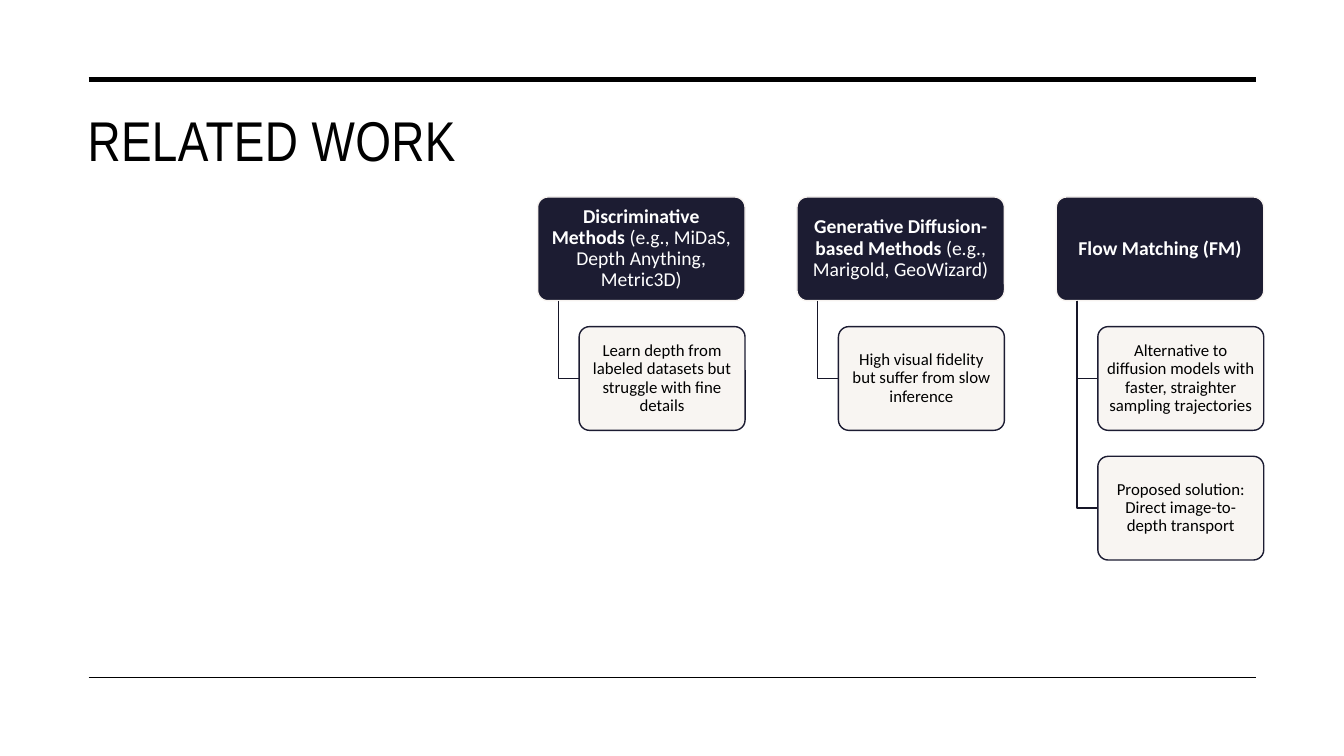
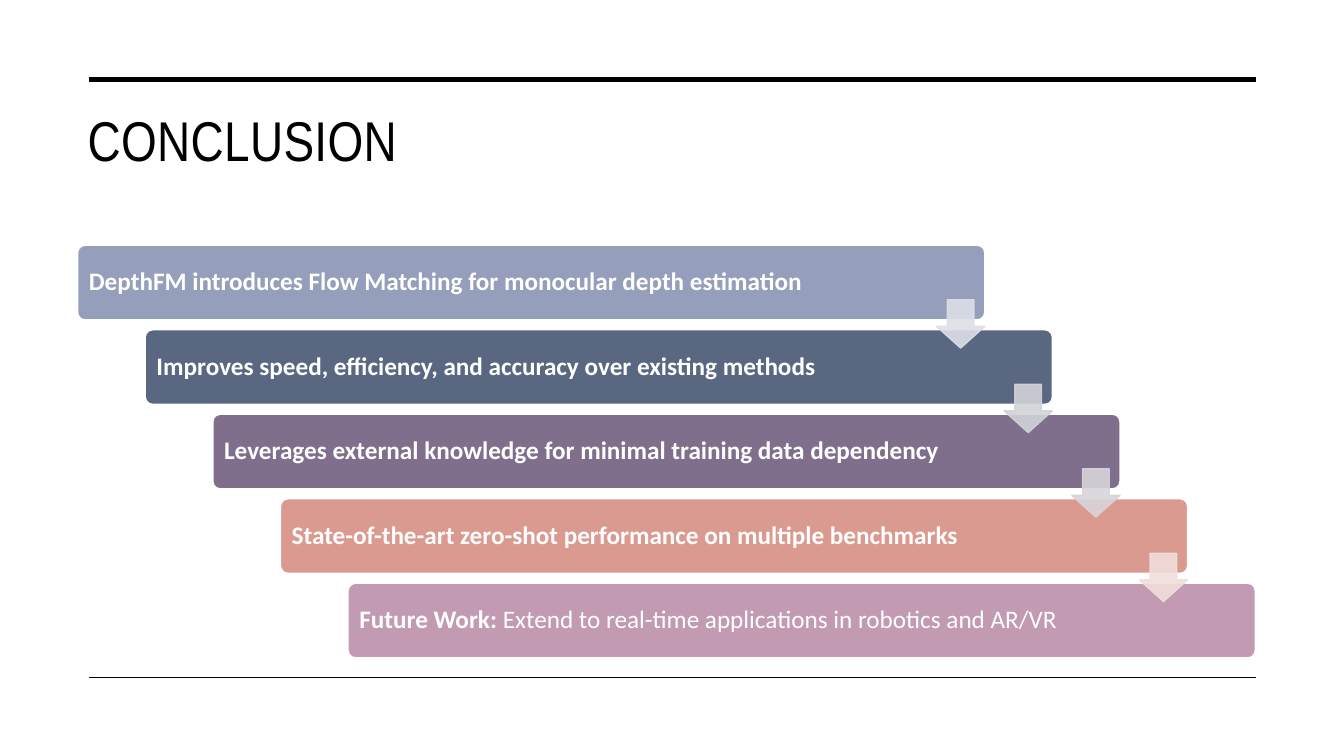
from dataclasses import dataclass

from lxml.etree import SubElement
from pptx import Presentation
from pptx.dml.color import RGBColor
from pptx.enum.shapes import MSO_CONNECTOR, MSO_SHAPE
from pptx.enum.text import MSO_ANCHOR, PP_ALIGN
from pptx.oxml.ns import qn
from pptx.util import Inches, Pt

# The slide is a grid of square cells.
COLUMNS, ROWS = 160, 90


@dataclass(frozen=True)
class Theme:
    black: str = "000000"
    white: str = "FFFFFF"
    navy: str = "1C1C32"
    branch: str = "161628"
    cream: str = "F8F4F1"
    steps: tuple = ("959EBB", "596781", "7F6E8C", "DB9A8F", "C29AB1")
    arrows: tuple = ("DDDFE7", "D1D3D8", "D8D5DA", "F1DEDB")
    title_font: str = "Arial Narrow"
    body_font: str = "Calibri"
    title_size: float = 40
    step_size: float = 18
    method_size: float = 14
    detail_size: float = 12
    opacity: int = 90


def write_text(shape, runs, *, font, size, color, align=PP_ALIGN.LEFT,
               anchor=MSO_ANCHOR.MIDDLE, inset=(0.1, 0.05), line_spacing=1.0,
               tracking=None):
    """Fill a shape with one paragraph of (text, bold) runs; inset is in inches."""
    frame = shape.text_frame
    frame.word_wrap = True
    frame.vertical_anchor = anchor
    frame.margin_left = frame.margin_right = Inches(inset[0])
    frame.margin_top = frame.margin_bottom = Inches(inset[1])
    paragraph = frame.paragraphs[0]
    paragraph.alignment = align
    paragraph.line_spacing = line_spacing
    for text, bold in runs:
        run = paragraph.add_run()
        run.text = text
        run.font.name = font
        run.font.size = Pt(size)
        run.font.bold = bold
        run.font.color.rgb = RGBColor.from_string(color)
        if tracking is not None:
            run.font._element.set("spc", str(round(tracking * 100)))


def set_opacity(shape, color, percent):
    """Make every use of a colour in the shape's fill and line translucent."""
    for element in shape._element.spPr.iter(qn("a:srgbClr")):
        if element.get("val") == color:
            SubElement(element, qn("a:alpha"), val=str(percent * 1000))


class Deck:
    def __init__(self, theme):
        self.theme = theme
        self.presentation = Presentation()
        self.presentation.slide_width = Inches(13.33)
        self.presentation.slide_height = Inches(7.5)
        self.slide = None

    def x(self, columns):
        return round(self.presentation.slide_width * columns / COLUMNS)

    def y(self, rows):
        return round(self.presentation.slide_height * rows / ROWS)

    def box(self, left, top, width, height):
        return self.x(left), self.y(top), self.x(width), self.y(height)

    def add_slide(self, title):
        """Start a slide with the shared rules and title."""
        theme = self.theme
        self.slide = self.presentation.slides.add_slide(
            self.presentation.slide_layouts[6])
        self.rule(9.48, 3.5)
        self.rule(80.64, 1)
        title_box = self.slide.shapes.add_textbox(*self.box(9.24, 12, 140.28, 15))
        write_text(title_box, [(title, False)], font=theme.title_font,
                   size=theme.title_size, color=theme.black,
                   anchor=MSO_ANCHOR.TOP, tracking=0.3)

    def rule(self, row, weight):
        connector = self.slide.shapes.add_connector(
            MSO_CONNECTOR.STRAIGHT, self.x(10.56), self.y(row),
            self.x(149.52), self.y(row))
        connector.line.color.rgb = RGBColor.from_string(self.theme.black)
        connector.line.width = Pt(weight)
        SubElement(connector._element.spPr, qn("a:effectLst"))

    def shape(self, kind, area, fill, line, adjustments, opacity=None):
        shape = self.slide.shapes.add_shape(kind, *self.box(*area))
        for index, value in enumerate(adjustments):
            shape.adjustments[index] = value
        shape.shadow.inherit = False
        shape.fill.solid()
        shape.fill.fore_color.rgb = RGBColor.from_string(fill)
        shape.line.color.rgb = RGBColor.from_string(line)
        shape.line.width = Pt(1)
        if opacity is not None:
            set_opacity(shape, fill, opacity)
        return shape

    def card(self, area, runs, *, fill, line, opacity=None, **text_format):
        card = self.shape(MSO_SHAPE.ROUNDED_RECTANGLE, area, fill, line, [0.1],
                          opacity)
        write_text(card, runs, font=self.theme.body_font, line_spacing=0.9,
                   **text_format)

    def elbow(self, left, top, right, bottom):
        """Draw a branch that runs down, then right."""
        builder = self.slide.shapes.build_freeform(self.x(left), self.y(top))
        builder.add_line_segments(
            [(self.x(left), self.y(bottom)), (self.x(right), self.y(bottom))],
            close=False)
        branch = builder.convert_to_shape()
        branch.shadow.inherit = False
        branch.fill.background()
        branch.line.color.rgb = RGBColor.from_string(self.theme.branch)
        branch.line.width = Pt(1)

    def method_tree(self, left, top, width, method, details):
        """Draw a method card with its details hanging below it."""
        theme = self.theme
        height = width / 2
        card_format = dict(align=PP_ALIGN.CENTER, inset=(0.06, 0.05))
        self.card((left, top, width, height), method, fill=theme.navy,
                  line=theme.cream, size=theme.method_size, color=theme.white,
                  **card_format)
        detail_left = left + 0.2 * width
        for number, detail in enumerate(details, 1):
            detail_top = top + 1.25 * height * number
            self.elbow(left + 0.1 * width, top + height, detail_left,
                       detail_top + height / 2)
            self.card((detail_left, detail_top, 0.8 * width, height),
                      [(detail, False)], fill=theme.cream, line=theme.navy,
                      opacity=theme.opacity, size=theme.detail_size,
                      color=theme.black, **card_format)

    def staircase(self, left, top, width, height, steps):
        """Draw descending bars, each joined to the next by an arrow."""
        theme = self.theme
        step_right, step_down, arrow_size = 8.05, 10.06, 5.76
        corners = [(left + step_right * index, top + step_down * index)
                   for index in range(len(steps))]
        for (bar_left, bar_top), runs, color in zip(corners, steps, theme.steps):
            self.card((bar_left, bar_top, width, height), runs, fill=color,
                      line=theme.white, size=theme.step_size, color=theme.white,
                      inset=(0.09, 0.09))
        for (bar_left, bar_top), color in zip(corners, theme.arrows):
            area = (bar_left + width - arrow_size, bar_top + 6.48,
                    arrow_size, arrow_size)
            self.shape(MSO_SHAPE.DOWN_ARROW, area, color, color, [0.55, 0.45],
                       theme.opacity)


METHODS = [
    ([("Discriminative Methods", True),
      (" (e.g., MiDaS, Depth Anything, Metric3D)", False)],
     ["Learn depth from labeled datasets but struggle with fine details"]),
    ([("Generative Diffusion-based Methods", True),
      (" (e.g., Marigold, GeoWizard)", False)],
     ["High visual fidelity but suffer from slow inference"]),
    ([("Flow Matching (FM)", True)],
     ["Alternative to diffusion models with faster, straighter sampling trajectories",
      "Proposed solution: Direct image-to-depth transport"]),
]

CONCLUSIONS = [
    [("DepthFM introduces Flow Matching for monocular depth estimation", True)],
    [("Improves speed, efficiency, and accuracy over existing methods", True)],
    [("Leverages external knowledge for minimal training data dependency", True)],
    [("State-of-the-art zero-shot performance on multiple benchmarks", True)],
    [("Future Work:", True),
     (" Extend to real-time applications in robotics and AR/VR", False)],
]


def main():
    deck = Deck(Theme())

    deck.add_slide("RELATED WORK")
    tree_width = 24.7
    for index, (method, details) in enumerate(METHODS):
        deck.method_tree(64 + 1.25 * tree_width * index, 23.45, tree_width,
                         method, details)

    deck.add_slide("CONCLUSION")
    deck.staircase(9.24, 29.2, 108, 8.88, CONCLUSIONS)

    deck.presentation.save("out.pptx")


if __name__ == "__main__":
    main()
